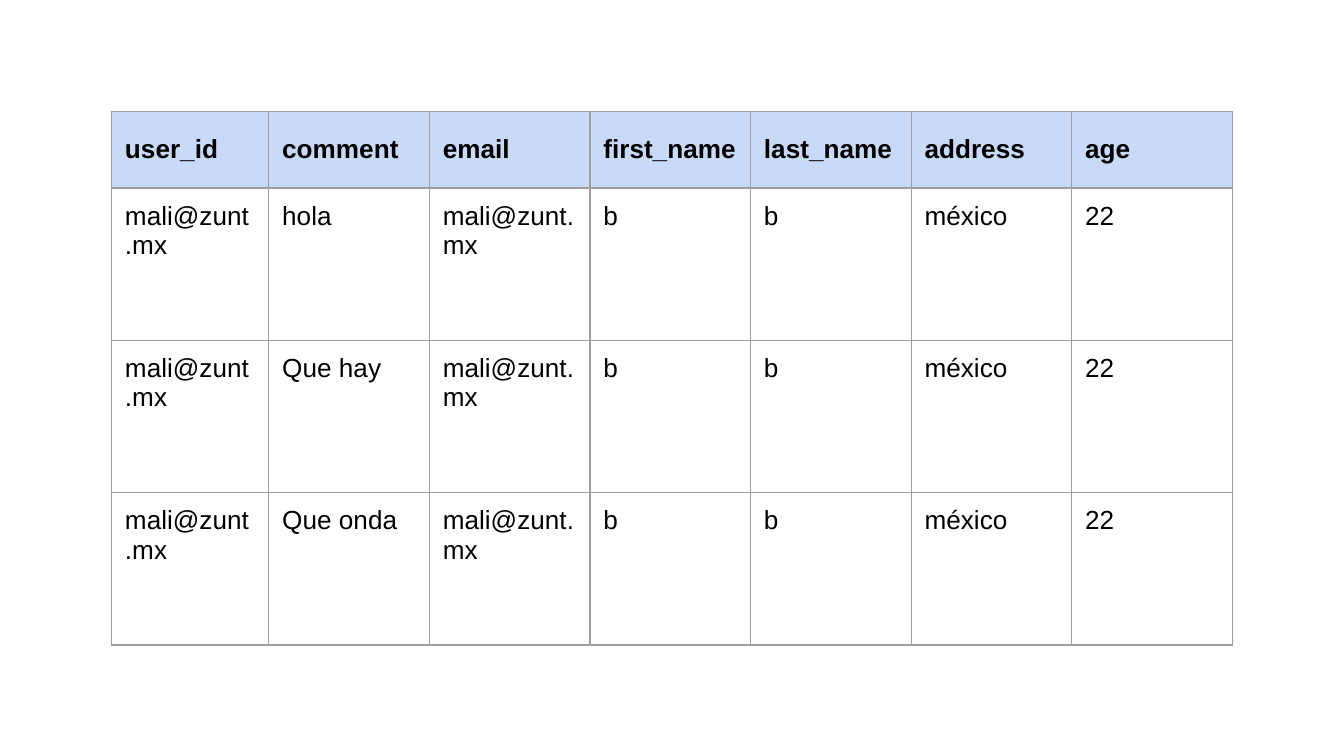
from lxml import etree
from pptx import Presentation
from pptx import util as u
from pptx.dml.color import RGBColor
from pptx.enum import text
from pptx.oxml.ns import qn

COLORS = {"ink": "000000", "header": "C9DAF8", "border": "9E9E9E"}
HEADERS = ["user_id", "comment", "email", "first_name", "last_name", "address", "age"]
COMMENTS = ["hola", "Que hay", "Que onda"]
EMAIL = "mali@zunt.mx"


class Deck:
    """Holds the table style and the current slide."""

    font, size, border = "Arial", u.Pt(14), u.Pt(0.75)

    def __init__(self, width, height):
        self.prs = Presentation()
        self.prs.slide_width, self.prs.slide_height = u.Inches(width), u.Inches(height)
        self.s = self.prs.slides.add_slide(self.prs.slide_layouts[6])

    def borders(self, cell):
        tcPr = cell._tc.get_or_add_tcPr()
        for side in "LRTB":
            ln = etree.SubElement(tcPr, qn(f"a:ln{side}"), w=str(self.border))
            fill = etree.SubElement(ln, qn("a:solidFill"))
            etree.SubElement(fill, qn("a:srgbClr"), val=COLORS["border"])

    def cell(self, cell, value, header):
        cell.margin_left = cell.margin_right = u.Inches(0.1)
        cell.margin_top = cell.margin_bottom = u.Inches(0.1)
        cell.vertical_anchor = text.MSO_ANCHOR.MIDDLE if header else text.MSO_ANCHOR.TOP
        self.borders(cell)
        if header:
            cell.fill.solid()
            cell.fill.fore_color.rgb = RGBColor.from_string(COLORS["header"])
        else:
            cell.fill.background()
        cell.text_frame.text = value
        font = cell.text_frame.paragraphs[0].runs[0].font
        font.name, font.size, font.bold = self.font, self.size, header
        font.color.rgb = RGBColor.from_string(COLORS["ink"])

    def table(self, left, top, widths, heights, rows):
        table = self.s.shapes.add_table(
            len(heights), len(widths), u.Inches(left), u.Inches(top),
            u.Inches(sum(widths)), u.Inches(sum(heights))).table
        table.first_row = table.horz_banding = False
        for column, width in zip(table.columns, widths):
            column.width = u.Inches(width)
        for row, height in zip(table.rows, heights):
            row.height = u.Inches(height)
        for i, values in enumerate(rows):
            for j, value in enumerate(values):
                self.cell(table.cell(i, j), value, header=i == 0)


def main():
    width, margin = 10, 0.83
    first_column, header_height, table_height = 1.17, 0.57, 3.97
    column = (width - 2 * margin - first_column) / (len(HEADERS) - 1)
    row = (table_height - header_height) / len(COMMENTS)
    records = [[EMAIL, comment, EMAIL, "b", "b", "méxico", "22"] for comment in COMMENTS]

    deck = Deck(width, width * 9 / 16)
    deck.table(margin, margin,
               [first_column] + [column] * (len(HEADERS) - 1),
               [header_height] + [row] * len(COMMENTS),
               [HEADERS] + records)
    deck.prs.save("out.pptx")


if __name__ == "__main__":
    main()
